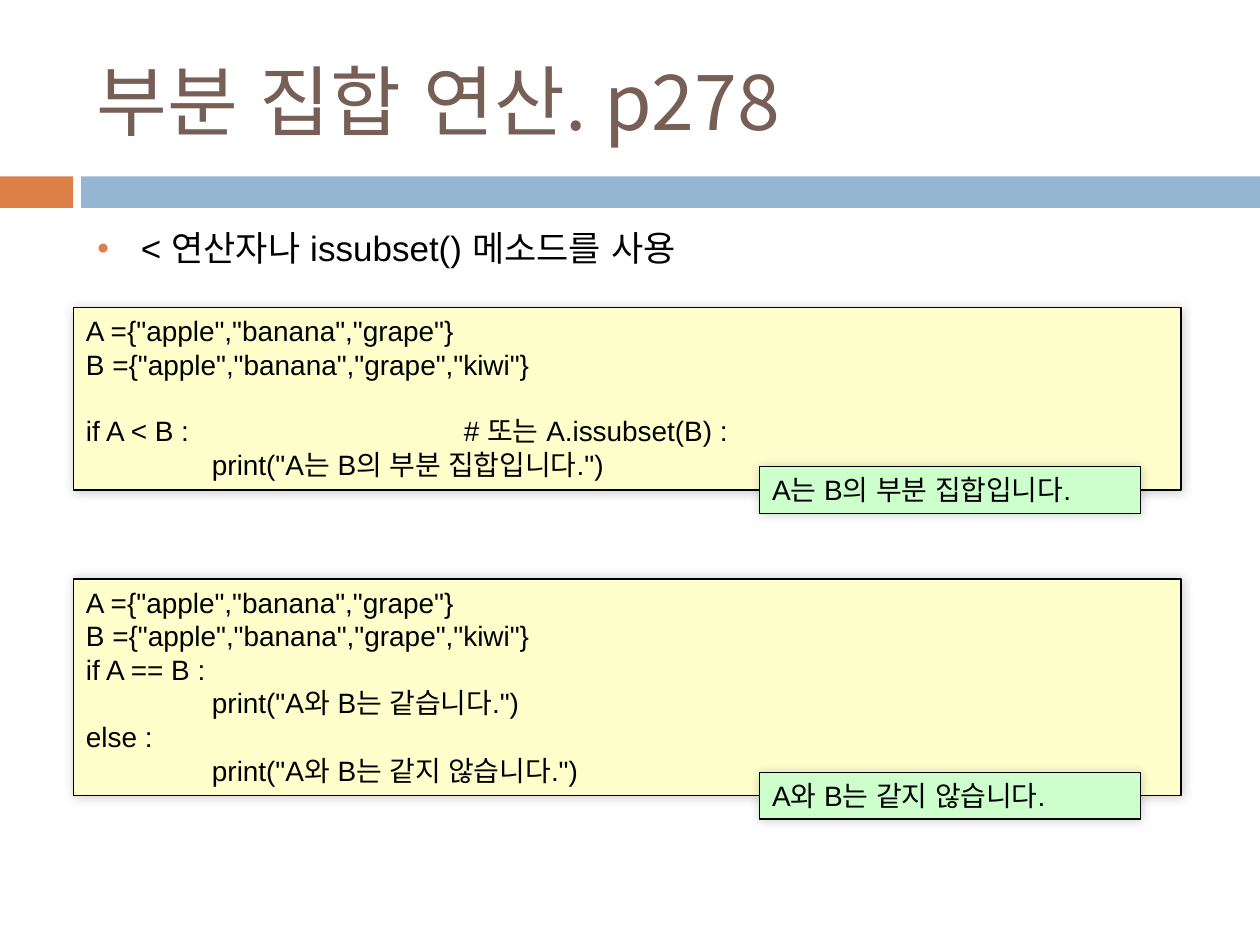
"""Builds a slide on testing subsets and equality of Python sets."""
import pptx
import pptx.dml.color
import pptx.enum.shapes
import pptx.enum.text
import pptx.oxml
import pptx.oxml.ns
import pptx.util

TITLE = "부분 집합 연산. p278"
POINT = "< 연산자나 issubset() 메소드를 사용"
SETS = ['A ={"apple","banana","grape"}', 'B ={"apple","banana","grape","kiwi"}']
EXAMPLES = [
    {
        "top": 32.53,
        "code": SETS + ["", "if A < B : \t\t\t# 또는 A.issubset(B) :",
                        '\tprint("A는 B의 부분 집합입니다.")'],
        "output": ["A는 B의 부분 집합입니다."],
    },
    {
        "top": 61.27,
        "code": SETS + ["if A == B :", '\tprint("A와 B는 같습니다.")',
                        "else :", '\tprint("A와 B는 같지 않습니다.")'],
        "output": ["A와 B는 같지 않습니다."],
    },
]

BLACK = pptx.dml.color.RGBColor(0x00, 0x00, 0x00)
BROWN = pptx.dml.color.RGBColor(0x77, 0x5F, 0x55)
ORANGE = pptx.dml.color.RGBColor(0xDD, 0x80, 0x47)
BLUE = pptx.dml.color.RGBColor(0x94, 0xB6, 0xD2)
YELLOW = pptx.dml.color.RGBColor(0xFF, 0xFF, 0xCC)
GREEN = pptx.dml.color.RGBColor(0xCC, 0xFF, 0xCC)

BODY_FONT, TITLE_FONT = "Arial", "Noto Sans CJK KR"
SLIDE_WIDTH, SLIDE_HEIGHT = pptx.util.Inches(10), pptx.util.Inches(7.5)
LINE_SHARE, PADDING_SHARE = 3.6, 1.33
BLANK_LINE = 19
NAMESPACE = pptx.oxml.ns.nsdecls("a")
SHADOW = (f'<a:effectLst {NAMESPACE}><a:outerShdw blurRad="76200" dist="0" dir="18900000">'
          '<a:srgbClr val="000000"><a:alpha val="20000"/></a:srgbClr>'
          '</a:outerShdw></a:effectLst>')


def place(left, top, width, height):
    """Turn percentages of the slide into lengths."""
    return (round(SLIDE_WIDTH * left / 100), round(SLIDE_HEIGHT * top / 100),
            round(SLIDE_WIDTH * width / 100), round(SLIDE_HEIGHT * height / 100))


def add_rectangle(page, area, color):
    box = page.shapes.add_shape(pptx.enum.shapes.MSO_SHAPE.RECTANGLE, *place(*area))
    box.shadow.inherit = False
    box.fill.solid()
    box.fill.fore_color.rgb = color
    box.line.fill.background()
    return box


def add_span(para, text, size, color=BLACK, font=BODY_FONT):
    span = para.add_run()
    span.text = text
    span.font.size = pptx.util.Pt(size)
    span.font.name = font
    span.font.color.rgb = color
    latin = span.font._element.find(pptx.oxml.ns.qn("a:latin"))
    latin.addnext(pptx.oxml.parse_xml(f'<a:ea {NAMESPACE} typeface="{BODY_FONT}"/>'))


def add_textbox(page, area):
    frame = page.shapes.add_textbox(*place(*area)).text_frame
    frame.word_wrap = True
    return frame


def block_height(lines):
    return PADDING_SHARE + LINE_SHARE * len(lines)


def add_tabs(para, count):
    stops = "".join(f'<a:tab pos="{pptx.util.Inches(number)}" algn="l"/>'
                    for number in range(1, count + 1))
    para._p.get_or_add_pPr().append(
        pptx.oxml.parse_xml(f"<a:tabLst {NAMESPACE}>{stops}</a:tabLst>"))


def add_block(page, left, top, width, lines, color):
    box = add_rectangle(page, (left, top, width, block_height(lines)), color)
    box.line.color.rgb = BLACK
    box.line.width = pptx.util.Pt(0.75)
    properties = box._element.spPr
    properties.replace(properties.find(pptx.oxml.ns.qn("a:effectLst")),
                       pptx.oxml.parse_xml(SHADOW))
    frame = box.text_frame
    frame.word_wrap = True
    frame.vertical_anchor = pptx.enum.text.MSO_ANCHOR.TOP
    for index, line in enumerate(lines):
        if not line:
            continue
        para = frame.add_paragraph() if index else frame.paragraphs[0]
        para.alignment = pptx.enum.text.PP_ALIGN.LEFT
        if index and not lines[index - 1]:
            para.space_before = pptx.util.Pt(BLANK_LINE)
        if "\t" in line:
            add_tabs(para, line.count("\t"))
        add_span(para, line, 16)


def add_bullet(para):
    properties = para._p.get_or_add_pPr()
    indent = pptx.util.Inches(0.35)
    properties.set("marL", str(indent))
    properties.set("indent", str(-indent))
    for element in (f'<a:buClr {NAMESPACE}><a:srgbClr val="{ORANGE}"/></a:buClr>',
                    f'<a:buSzPct {NAMESPACE} val="60000"/>',
                    f'<a:buFont {NAMESPACE} typeface="{BODY_FONT}"/>',
                    f'<a:buChar {NAMESPACE} char="●"/>'):
        properties.append(pptx.oxml.parse_xml(element))


def main():
    deck = pptx.Presentation()
    deck.slide_width, deck.slide_height = SLIDE_WIDTH, SLIDE_HEIGHT
    page = deck.slides.add_slide(deck.slide_layouts[6])

    add_rectangle(page, (0, 18.67, 5.8, 3.33), ORANGE)
    add_rectangle(page, (6.45, 18.67, 93.55, 3.33), BLUE)

    heading = add_textbox(page, (6.7, 3.33, 89.2, 14.4))
    heading.vertical_anchor = pptx.enum.text.MSO_ANCHOR.MIDDLE
    add_span(heading.paragraphs[0], TITLE, 44, BROWN, TITLE_FONT)

    for example in EXAMPLES:
        top, code, output = example["top"], example["code"], example["output"]
        add_block(page, 5.84, top, 87.9, code, YELLOW)
        output_top = top + block_height(code) - block_height(output) / 2
        add_block(page, 60.3, output_top, 30.2, output, GREEN)

    para = add_textbox(page, (6.7, 23.33, 89.2, 65.6)).paragraphs[0]
    add_bullet(para)
    add_span(para, POINT, 20)

    deck.save("out.pptx")


if __name__ == "__main__":
    main()
